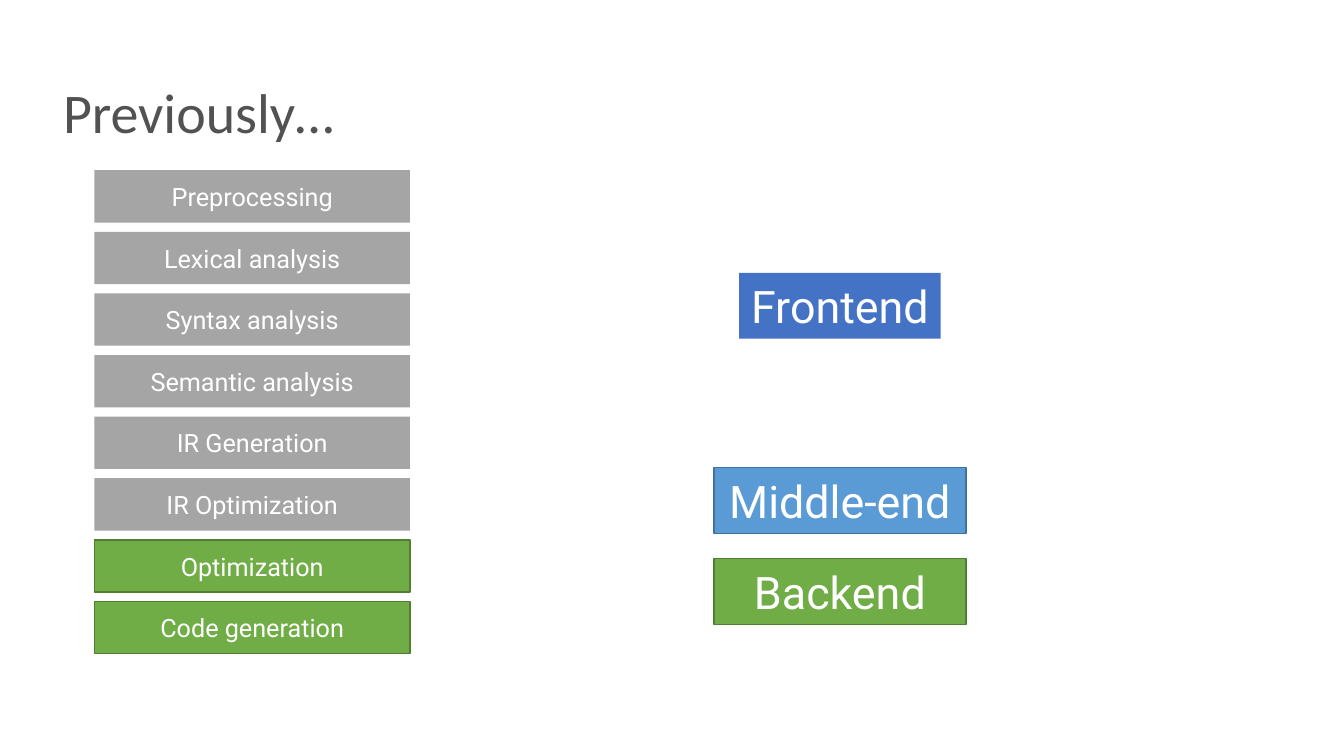
from dataclasses import dataclass

from pptx import Presentation
from pptx.dml.color import RGBColor
from pptx.enum import shapes, text
from pptx.util import Pt

TITLE = "Previously…"

# (label, style)
STAGES = [
    ("Preprocessing", "done"),
    ("Lexical analysis", "done"),
    ("Syntax analysis", "done"),
    ("Semantic analysis", "done"),
    ("IR Generation", "done"),
    ("IR Optimization", "done"),
    ("Optimization", "backend"),
    ("Code generation", "backend"),
]

# (label, style, top, width)
PHASES = [
    ("Frontend", "frontend", 195, 144),
    ("Middle-end", "middle", 334, 180),
    ("Backend", "backend", 399, 180),
]


@dataclass(frozen=True)
class Theme:
    title_font: str = "Calibri"
    body_font: str = "Roboto"
    title_size: int = 40
    stage_size: int = 18
    phase_size: int = 32
    title_color: str = "525252"
    label_color: str = "FFFFFF"


THEME = Theme()

# style: (fill, outline)
BOX_STYLES = {
    "done": ("A5A5A5", None),
    "frontend": ("4472C4", None),
    "middle": ("5B9BD5", "42719B"),
    "backend": ("70AD47", "517E33"),
}

STAGE_LEFT, STAGE_TOP, STAGE_WIDTH, STAGE_HEIGHT = 67.5, 121.6, 225.4, 37.4
STAGE_PITCH = 44
PHASE_CENTER, PHASE_HEIGHT = 600, 47


def set_margins(frame, margin):
    frame.margin_left = frame.margin_right = Pt(margin)
    frame.margin_top = frame.margin_bottom = Pt(margin)


def style_text(paragraph, font_name, size, color, alignment):
    paragraph.alignment = alignment
    paragraph.font.name = font_name
    paragraph.font.size = Pt(size)
    paragraph.font.color.rgb = RGBColor.from_string(color)


def add_title(slide):
    title = slide.shapes.title
    title.left, title.top, title.width, title.height = Pt(45), Pt(45), Pt(867), Pt(75)
    frame = title.text_frame
    frame.text = TITLE
    frame.vertical_anchor = text.MSO_ANCHOR.MIDDLE
    set_margins(frame, 0)
    paragraph = frame.paragraphs[0]
    paragraph.line_spacing = 0.9
    style_text(paragraph, THEME.title_font, THEME.title_size,
               THEME.title_color, text.PP_ALIGN.LEFT)


def add_box(slide, label, style, left, top, width, height, size):
    box = slide.shapes.add_shape(shapes.MSO_SHAPE.RECTANGLE,
                                 Pt(left), Pt(top), Pt(width), Pt(height))
    box.shadow.inherit = False
    fill, outline = BOX_STYLES[style]
    box.fill.solid()
    box.fill.fore_color.rgb = RGBColor.from_string(fill)
    if outline:
        box.line.color.rgb = RGBColor.from_string(outline)
        box.line.width = Pt(1)
    else:
        box.line.fill.background()
    frame = box.text_frame
    frame.text = label
    frame.word_wrap = True
    frame.vertical_anchor = text.MSO_ANCHOR.MIDDLE
    set_margins(frame, 4.5)
    style_text(frame.paragraphs[0], THEME.body_font, size,
               THEME.label_color, text.PP_ALIGN.CENTER)


def main():
    presentation = Presentation()
    presentation.slide_width, presentation.slide_height = Pt(960), Pt(540)
    slide = presentation.slides.add_slide(
        presentation.slide_layouts.get_by_name("Title Only"))
    add_title(slide)
    for row, (label, style) in enumerate(STAGES):
        add_box(slide, label, style, STAGE_LEFT, STAGE_TOP + row * STAGE_PITCH,
                STAGE_WIDTH, STAGE_HEIGHT, THEME.stage_size)
    for label, style, top, width in PHASES:
        add_box(slide, label, style, PHASE_CENTER - width / 2, top,
                width, PHASE_HEIGHT, THEME.phase_size)
    presentation.save("out.pptx")


if __name__ == "__main__":
    main()
